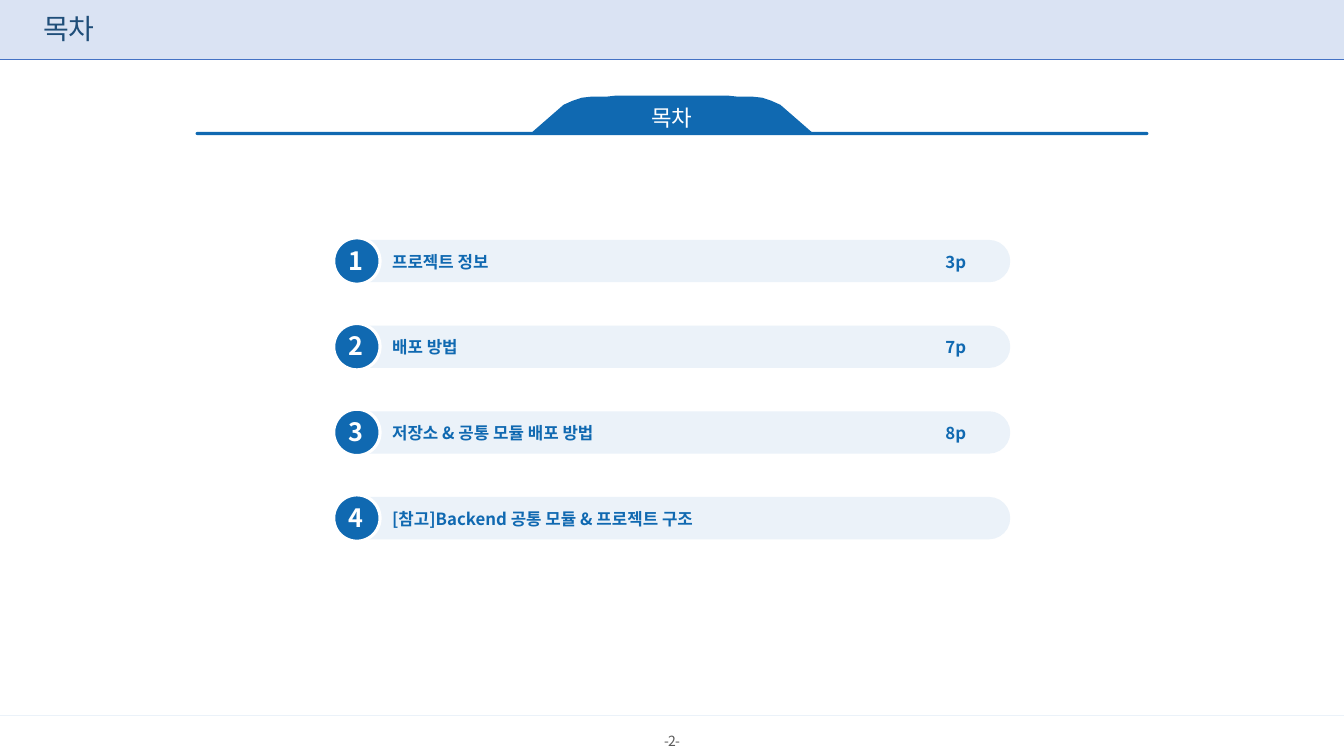
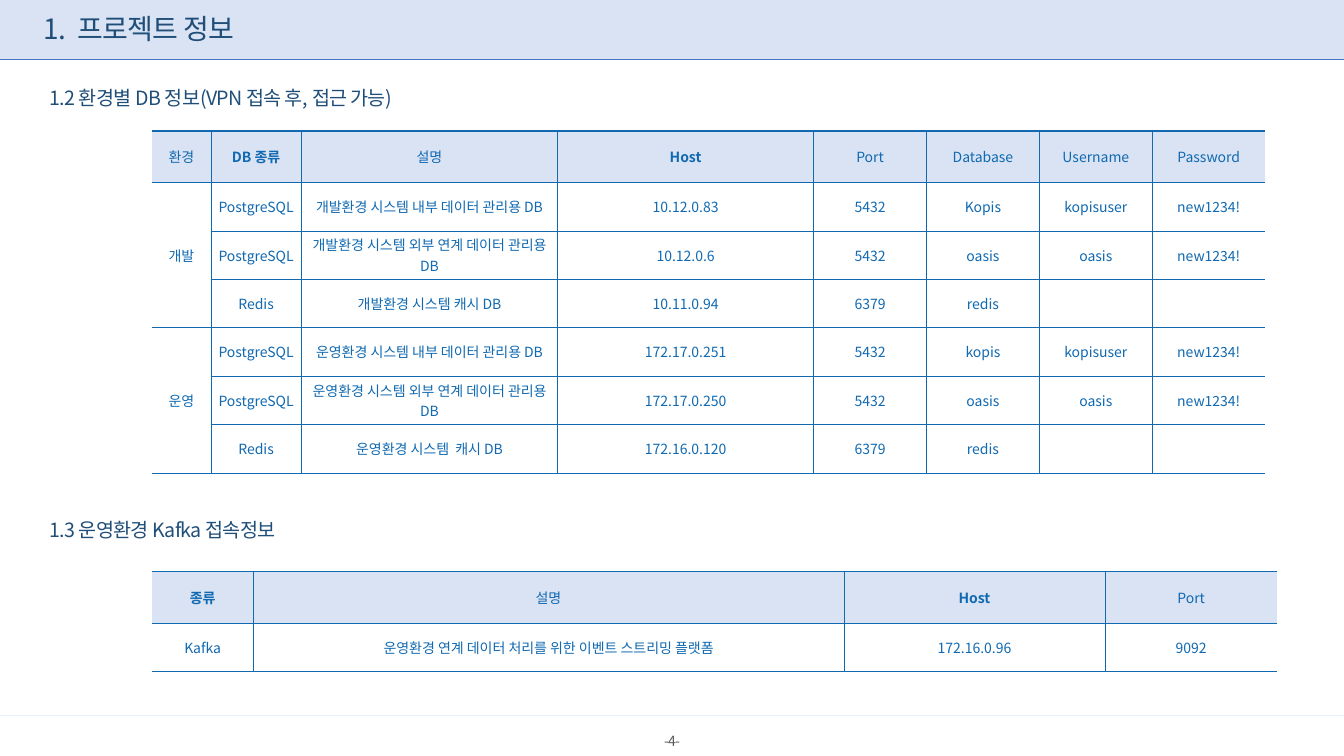
import pptx
import pptx.dml.color
import pptx.enum.shapes
import pptx.enum.text
import pptx.oxml.ns
import pptx.util
from lxml import etree

Inches = pptx.util.Inches
Pt = pptx.util.Pt
Shapes = pptx.enum.shapes.MSO_SHAPE
Align = pptx.enum.text.PP_ALIGN
Anchor = pptx.enum.text.MSO_ANCHOR
qn = pptx.oxml.ns.qn

FONT = "Noto Sans CJK KR"
BLUE, NAVY, GREY, WHITE = "1069B1", "1F4E79", "595959", "FFFFFF"
BAND, PALE, RULE = "DAE3F3", "EBF2F9", "4472C4"
WIDTH, HEIGHT = 13.33, 7.5


def rgb(code):
    return pptx.dml.color.RGBColor.from_string(code)


def write(frame, text, size=10, color=BLUE, bold=False, align=Align.LEFT,
          tracking=0, leading=None):
    """Put one formatted paragraph into a text frame; tracking is in points."""
    paragraph = frame.paragraphs[0]
    paragraph.alignment = align
    paragraph.space_before = Pt(0)
    if leading:
        paragraph.line_spacing = leading
    run = paragraph.add_run()
    run.text = text
    run.font.name = FONT
    run.font.size = Pt(size)
    run.font.bold = bold
    run.font.color.rgb = rgb(color)
    properties = run.font._element
    etree.SubElement(properties, qn("a:ea"), typeface=FONT)
    if tracking:
        properties.set("spc", str(round(tracking * 100)))


def set_border(cell, side, weight):
    """Draw one side (L, R, T or B) of a cell; weight 0 hides it."""
    line = etree.SubElement(cell._tc.get_or_add_tcPr(), qn(f"a:ln{side}"),
                            w=str(Pt(weight)))
    if weight:
        fill = etree.SubElement(line, qn("a:solidFill"))
        etree.SubElement(fill, qn("a:srgbClr"), val=BLUE)
    else:
        etree.SubElement(line, qn("a:noFill"))


class Deck:
    def __init__(self):
        self.file = pptx.Presentation()
        self.file.slide_width = Inches(WIDTH)
        self.file.slide_height = Inches(HEIGHT)
        self.slide = None

    def add_slide(self, title, number):
        """Start a slide with its band, title, rules and page number."""
        self.slide = self.file.slides.add_slide(self.file.slide_layouts[5])
        self.shape(Shapes.RECTANGLE, 0, 0, WIDTH, 0.59, BAND)
        self.rule(0.59, RULE)
        self.rule(7.1, PALE)
        self.text(f"-{number}-", 6.24, 7.24, 0.85, 0.24, color=GREY,
                  align=Align.CENTER, tracking=-0.5, leading=0.9)
        heading = self.slide.shapes.title
        heading.left, heading.top = Inches(0.33), Inches(0.09)
        heading.width, heading.height = Inches(4.03), Inches(0.43)
        self.fit(heading.text_frame)
        write(heading.text_frame, title, size=20, color=NAVY, tracking=-0.5,
              leading=0.9)
        # The title stands in front of the band
        self.slide.shapes._spTree.append(heading._element)

    def fit(self, frame):
        frame.word_wrap = True
        frame.auto_size = pptx.enum.text.MSO_AUTO_SIZE.NONE
        frame.vertical_anchor = Anchor.MIDDLE

    def paint(self, shape, fill, outline=None):
        shape.shadow.inherit = False
        shape.fill.solid()
        shape.fill.fore_color.rgb = rgb(fill)
        if outline:
            shape.line.color.rgb = rgb(outline)
            shape.line.width = Pt(2.25)
        else:
            shape.line.fill.background()
        return shape

    def shape(self, kind, left, top, width, height, fill, outline=None):
        shape = self.slide.shapes.add_shape(
            kind, Inches(left), Inches(top), Inches(width), Inches(height))
        if kind == Shapes.ROUNDED_RECTANGLE:
            shape.adjustments[0] = 0.5
        return self.paint(shape, fill, outline)

    def outline(self, points, fill):
        corners = [(Inches(x), Inches(y)) for x, y in points]
        builder = self.slide.shapes.build_freeform(*corners[0])
        builder.add_line_segments(corners[1:], close=True)
        self.paint(builder.convert_to_shape(), fill)

    def rule(self, top, color):
        rule = self.slide.shapes.add_connector(
            pptx.enum.shapes.MSO_CONNECTOR.STRAIGHT,
            0, Inches(top), Inches(WIDTH), Inches(top))
        rule.line.color.rgb = rgb(color)
        rule.line.width = Pt(0.5)
        etree.SubElement(rule._element.spPr, qn("a:effectLst"))

    def text(self, text, left, top, width, height, **style):
        box = self.slide.shapes.add_textbox(
            Inches(left), Inches(top), Inches(width), Inches(height))
        self.fit(box.text_frame)
        write(box.text_frame, text, **style)
        return box

    def subtitle(self, text, top):
        self.text(text, 0.39, top, 4.48, 0.28, size=14, color=NAVY,
                  tracking=-0.5, leading=0.9)

    def badge(self, text, left, top, size):
        badge = self.shape(Shapes.OVAL, left, top, size, size, BLUE, WHITE)
        frame = badge.text_frame
        self.fit(frame)
        frame.margin_left = frame.margin_top = 0
        frame.margin_right = frame.margin_bottom = Inches(0.02)
        write(frame, text, size=18, color=WHITE, bold=True,
              align=Align.CENTER, tracking=-1)

    def table(self, rows, widths, left, top, bold_heads, spans=()):
        """Add a ruled table; spans lists (first row, last row) in column 0."""
        heights = [0.51] + [0.48] * (len(rows) - 1)
        table = self.slide.shapes.add_table(
            len(rows), len(widths), Inches(left), Inches(top),
            Inches(sum(widths)), Inches(sum(heights))).table
        table.first_row = table.horz_banding = False
        for column, width in zip(table.columns, widths):
            column.width = Inches(width)
        for row, height in zip(table.rows, heights):
            row.height = Inches(height)
        for r, row in enumerate(rows):
            for c, value in enumerate(row):
                cell = table.cell(r, c)
                set_border(cell, "L", 0.25 if c else 0)
                set_border(cell, "R", 0.25 if c < len(row) - 1 else 0)
                set_border(cell, "T", 0.25 if r else 1.5)
                set_border(cell, "B", 0.25)
                if r:
                    cell.fill.background()
                else:
                    cell.fill.solid()
                    cell.fill.fore_color.rgb = rgb(BAND)
                cell.vertical_anchor = Anchor.MIDDLE
                cell.margin_left = cell.margin_right = Inches(0.01)
                cell.margin_top = cell.margin_bottom = Inches(0.01)
                if value:
                    write(cell.text_frame, value, align=Align.CENTER,
                          bold=r == 0 and value in bold_heads)
        for first, last in spans:
            table.cell(first, 0).merge(table.cell(last, 0))


def contents_slide(deck):
    deck.add_slide("목차", 2)

    # Tab on a long bar, its right half mirrored to the left
    deck.shape(Shapes.ROUNDED_RECTANGLE, 1.94, 1.31, 9.45, 0.03, BLUE)
    right = [(7.23, 0.95), (7.32, 0.96), (7.47, 0.96), (7.56, 0.97),
             (7.65, 1.0), (7.74, 1.04), (8.05, 1.31)]
    left = [(WIDTH - x, y) for x, y in reversed(right)]
    deck.outline(right + left, BLUE)
    label = deck.text("목차", 5.8, 0.97, 1.73, 0.36, size=16, color=WHITE,
                      align=Align.CENTER)
    label.text_frame.margin_top = Inches(0.08)

    # Numbered entries
    entries = [("프로젝트 정보", "3p"), ("배포 방법", "7p"),
               ("저장소 & 공통 모듈 배포 방법", "8p"),
               ("[참고]Backend 공통 모듈 & 프로젝트 구조", None)]
    for index, (entry, page) in enumerate(entries):
        top = 2.36 + 0.85 * index
        deck.shape(Shapes.ROUNDED_RECTANGLE, 3.31, top + 0.02, 6.71, 0.42, PALE)
        deck.badge(str(index + 1), 3.31, top, 0.46)
        deck.text(entry, 3.79, top + 0.06, 3.22, 0.35, size=12, bold=True)
        if page:
            deck.text(page, 9.13, top + 0.06, 0.7, 0.35, size=12, bold=True,
                      align=Align.CENTER)


def project_slide(deck):
    deck.add_slide("1.  프로젝트 정보", 4)

    # Databases by environment
    deck.subtitle("1.2 환경별 DB 정보(VPN 접속 후, 접근 가능)", 0.84)
    databases = [
        ("환경", "DB 종류", "설명", "Host", "Port", "Database", "Username",
         "Password"),
        ("개발", "PostgreSQL", "개발환경 시스템 내부 데이터 관리용 DB",
         "10.12.0.83", "5432", "Kopis", "kopisuser", "new1234!"),
        ("", "PostgreSQL", "개발환경 시스템 외부 연계 데이터 관리용 DB",
         "10.12.0.6", "5432", "oasis", "oasis", "new1234!"),
        ("", "Redis", "개발환경 시스템 캐시 DB",
         "10.11.0.94", "6379", "redis", "", ""),
        ("운영", "PostgreSQL", "운영환경 시스템 내부 데이터 관리용 DB",
         "172.17.0.251", "5432", "kopis", "kopisuser", "new1234!"),
        ("", "PostgreSQL", "운영환경 시스템 외부 연계 데이터 관리용 DB",
         "172.17.0.250", "5432", "oasis", "oasis", "new1234!"),
        ("", "Redis", "운영환경 시스템  캐시 DB",
         "172.16.0.120", "6379", "redis", "", ""),
    ]
    deck.table(databases, [0.58, 0.9, 2.54, 2.54] + [1.12] * 4, 1.51, 1.3,
               bold_heads=("DB 종류", "Host"), spans=[(1, 3), (4, 6)])

    # Message broker
    deck.subtitle("1.3 운영환경 Kafka 접속정보", 5.13)
    brokers = [
        ("종류", "설명", "Host", "Port"),
        ("Kafka", "운영환경 연계 데이터 처리를 위한 이벤트 스트리밍 플랫폼",
         "172.16.0.96", "9092"),
    ]
    deck.table(brokers, [1, 5.86, 2.59, 1.71], 1.51, 5.67,
               bold_heads=("종류", "Host"))


def main():
    deck = Deck()
    contents_slide(deck)
    project_slide(deck)
    deck.file.save("out.pptx")


if __name__ == "__main__":
    main()
